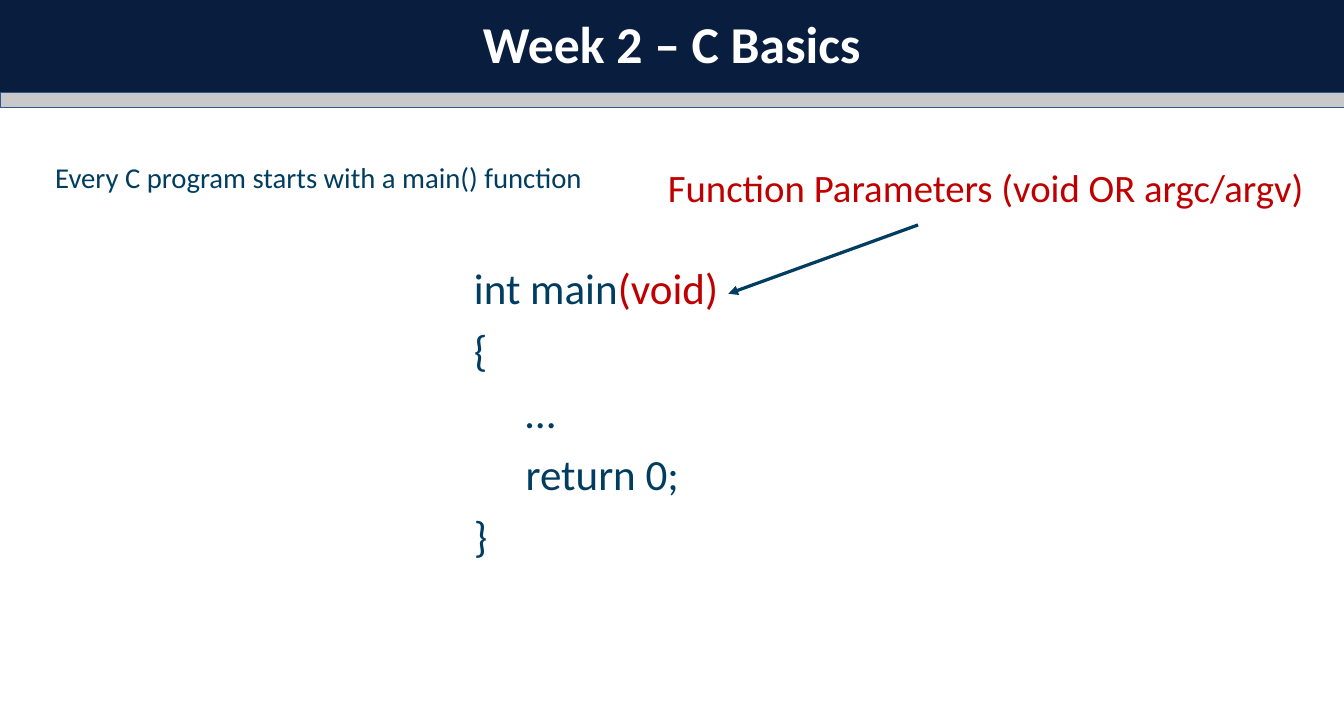
from lxml import etree
from pptx import Presentation
from pptx.dml.color import RGBColor
from pptx.enum.shapes import MSO_CONNECTOR, MSO_SHAPE
from pptx.enum.text import MSO_ANCHOR, MSO_AUTO_SIZE, PP_ALIGN
from pptx.oxml.ns import qn
from pptx.util import Inches, Pt

STRAIGHT = MSO_CONNECTOR.STRAIGHT
RECTANGLE = MSO_SHAPE.RECTANGLE
MIDDLE, TOP = MSO_ANCHOR.MIDDLE, MSO_ANCHOR.TOP
GROW = MSO_AUTO_SIZE.SHAPE_TO_FIT_TEXT
CENTER, LEFT = PP_ALIGN.CENTER, PP_ALIGN.LEFT

COLUMNS, ROWS = 26, 14
COLORS = {
    "navy": "091D3F",
    "gray": "C9C9C9",
    "edge": "325491",
    "white": "FFFFFF",
    "body": "003D60",
    "accent": "C00000",
}


class LessonSlide:
    """One slide on a grid of one-inch columns and rows."""

    font_name = "Calibri"

    def __init__(self, presentation):
        presentation.slide_width = Inches(COLUMNS)
        presentation.slide_height = Inches(ROWS)
        self.slide = presentation.slides.add_slide(presentation.slide_layouts[6])
        self.shapes = self.slide.shapes

    def color(self, name):
        return RGBColor.from_string(COLORS[name])

    def grid(self, *cells):
        return [Inches(cell) for cell in cells]

    def bar(self, top, height, fill, edge=None):
        shape = self.shapes.add_shape(RECTANGLE, *self.grid(0, top, COLUMNS, height))
        shape.shadow.inherit = False
        shape.fill.solid()
        shape.fill.fore_color.rgb = self.color(fill)
        if edge:
            shape.line.color.rgb = self.color(edge)
            shape.line.width = Pt(1)
        else:
            shape.line.fill.background()
        return shape

    def paragraph(self, paragraph, runs, size, before=0, indent=0):
        """Fill a paragraph with (text, color) runs."""
        paragraph.alignment = LEFT
        paragraph.font.name = self.font_name
        paragraph.font.size = Pt(size)
        paragraph.space_before = Pt(before)
        if indent:
            paragraph.level = 1
            paragraph._p.get_or_add_pPr().set("marL", str(Inches(indent)))
        for text, color in runs:
            run = paragraph.add_run()
            run.text = text
            run.font.color.rgb = self.color(color)

    def title(self, text, height):
        frame = self.bar(0, height, "navy").text_frame
        frame.vertical_anchor = MIDDLE
        heading = frame.paragraphs[0]
        self.paragraph(heading, [(text, "white")], 72)
        heading.alignment = CENTER
        heading.line_spacing = 0.9
        heading.font.bold = True

    def text(self, box, lines, size, before=0, wrap=True):
        """Add a text box; each line is (indent, runs)."""
        frame = self.shapes.add_textbox(*self.grid(*box)).text_frame
        frame.word_wrap = wrap
        frame.auto_size = GROW
        frame.vertical_anchor = TOP
        for index, (indent, runs) in enumerate(lines):
            paragraph = frame.add_paragraph() if index else frame.paragraphs[0]
            self.paragraph(paragraph, runs, size, before, indent)

    def arrow(self, start, end, color, width):
        connector = self.shapes.add_connector(STRAIGHT, *self.grid(*start, *end))
        connector.line.color.rgb = self.color(color)
        connector.line.width = Pt(width)
        line = connector.line._get_or_add_ln()
        etree.SubElement(line, qn("a:tailEnd"), type="triangle")
        etree.SubElement(connector._element.spPr, qn("a:effectLst"))


def main():
    presentation = Presentation()
    lesson = LessonSlide(presentation)
    lesson.title("Week 2 – C Basics", 1.79)
    lesson.bar(1.79, 0.29, "gray", "edge")

    intro = "Every C program starts with a main() function"
    lesson.text((0.97, 3.05, 13, 1.64), [(0, [(intro, "body")])], 40, 14.2)

    code = [
        (0, [("int main", "body"), ("(void)", "accent")]),
        (0, [("{", "body")]),
        (1, [("…", "body")]),
        (1, [("return 0;", "body")]),
        (0, [("}", "body")]),
    ]
    lesson.text((9.07, 5.01, 13, 5.94), code, 60, 14.2)

    label = "Function Parameters (void OR argc/argv)"
    lesson.text((12.82, 3.12, 12.64, 1.01), [(0, [(label, "accent")])], 54, wrap=False)
    lesson.arrow((17.76, 4.35), (14.09, 5.68), "body", 4.5)
    presentation.save("out.pptx")


if __name__ == "__main__":
    main()
